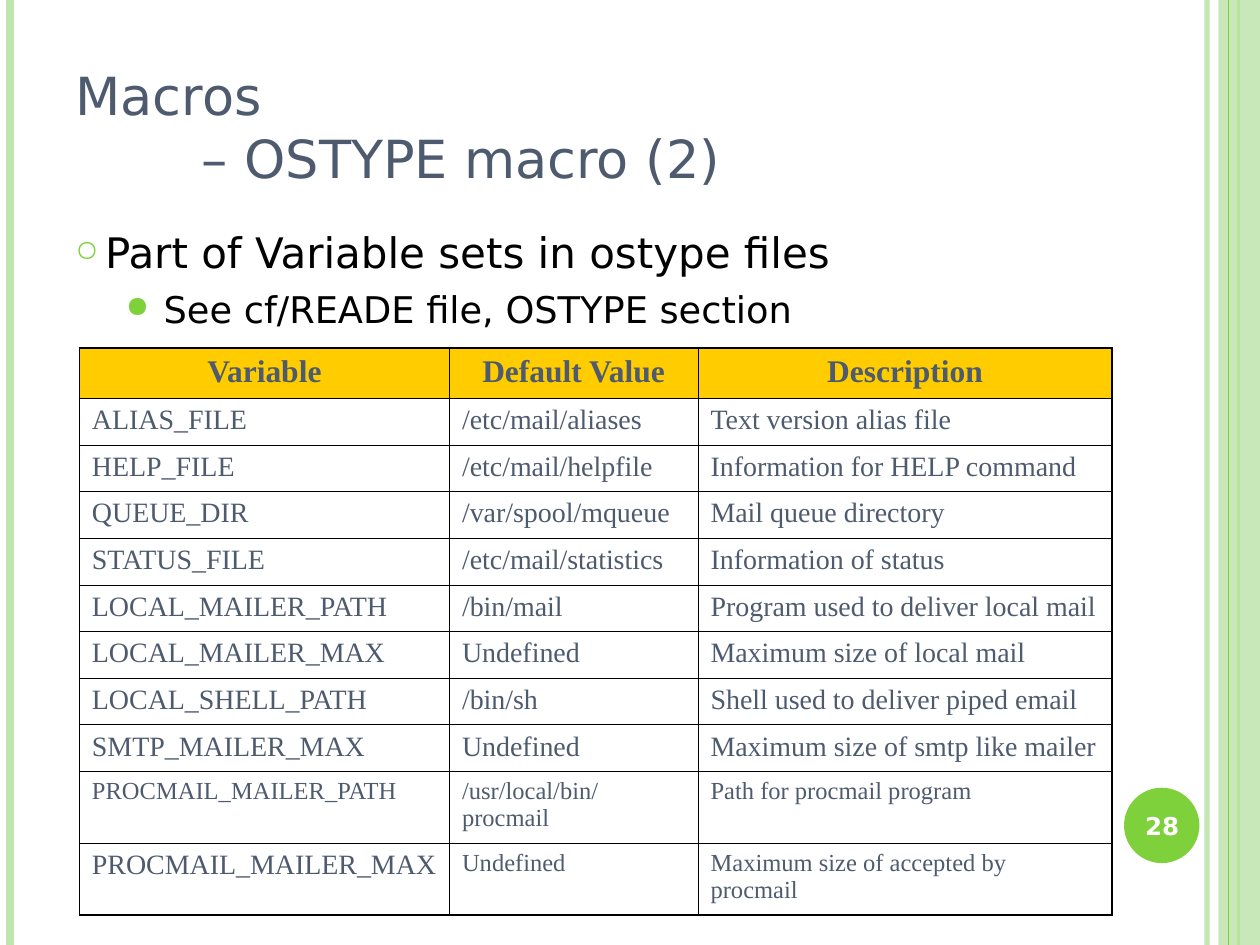
from dataclasses import dataclass
from typing import Any, Optional

from pptx import Presentation
from pptx.dml.color import RGBColor
from pptx.enum.shapes import MSO_CONNECTOR, MSO_SHAPE
from pptx.enum.text import MSO_ANCHOR, MSO_AUTO_SIZE, PP_ALIGN
from pptx.oxml.ns import qn
from pptx.util import Cm, Pt
from lxml.etree import SubElement


@dataclass(frozen=True)
class Theme:
    green: str = "7FD13B"
    pale_green: str = "C0E5AF"
    slate: str = "4E5B6F"
    amber: str = "FFCC00"
    black: str = "000000"
    white: str = "FFFFFF"
    sans: str = "DejaVu Sans"
    serif: str = "Times New Roman"
    title: float = 30
    header: float = 18
    cell: float = 16
    small_cell: float = 14
    number: float = 14
    thin: float = 0.45
    thick: float = 1.08


@dataclass(frozen=True)
class Rule:
    """A full-height vertical line; opacity is in percent."""
    x: float
    width: float
    color: str
    opacity: int = 100


@dataclass(frozen=True)
class Bullet:
    text: str
    size: float
    char: str
    char_size: int
    margin: float
    hanging: float
    before: float = 0


@dataclass(frozen=True)
class Row:
    texts: tuple[str, str, str]
    height: float = 0.94
    small: tuple[bool, bool, bool] = (False, False, False)


T = Theme()
WIDTH, HEIGHT = 25.4, 19.05
RULES = [
    Rule(24.33, 3, T.pale_green, 93),
    Rule(0.2, 4.5, T.pale_green),
    Rule(24.97, 1.5, T.green),
]
BAND_RULE = Rule(24.77, 0.75, T.green)
BULLETS = [
    Bullet("Part of Variable sets in ostype files", 24, "○", 70, 0.6, 0.6),
    Bullet("See cf/READE file, OSTYPE section", 21, "●", 80, 1.78, 0.76, 5.2),
]
COLUMNS = (7.46, 5.01, 8.35)
ROWS = [
    Row(("Variable", "Default Value", "Description"), 1.02),
    Row(("ALIAS_FILE", "/etc/mail/aliases", "Text version alias file")),
    Row(("HELP_FILE", "/etc/mail/helpfile", "Information for HELP command")),
    Row(("QUEUE_DIR", "/var/spool/mqueue", "Mail queue directory")),
    Row(("STATUS_FILE", "/etc/mail/statistics", "Information of status")),
    Row(("LOCAL_MAILER_PATH", "/bin/mail", "Program used to deliver local mail")),
    Row(("LOCAL_MAILER_MAX", "Undefined", "Maximum size of local mail")),
    Row(("LOCAL_SHELL_PATH", "/bin/sh", "Shell used to deliver piped email")),
    Row(("SMTP_MAILER_MAX", "Undefined", "Maximum size of smtp like mailer")),
    Row(("PROCMAIL_MAILER_PATH", "/usr/local/bin/procmail",
         "Path for procmail program"), 1.45, (True, True, True)),
    Row(("PROCMAIL_MAILER_MAX", "Undefined",
         "Maximum size of accepted by procmail"), 1.45, (False, True, True)),
]


def apply(obj: Any, **values: Any) -> None:
    for name, value in values.items():
        setattr(obj, name, value)


def set_font(p: Any, size: float, color: str, name: str, bold: bool = False) -> None:
    for r in p.runs:
        apply(r.font, size=Pt(size), name=name, bold=bold)
        r.font.color.rgb = RGBColor.from_string(color)


def set_opacity(parent: Any, percent: int) -> None:
    color = next(parent.iter(qn("a:srgbClr")))
    SubElement(color, qn("a:alpha"), val=str(percent * 1000))


def draw_rule(slide: Any, rule: Rule) -> None:
    line = slide.shapes.add_connector(
        MSO_CONNECTOR.STRAIGHT, Cm(rule.x), Cm(0), Cm(rule.x), Cm(HEIGHT))
    line.line.width = Pt(rule.width)
    line.line.color.rgb = RGBColor.from_string(rule.color)
    if rule.opacity < 100:
        set_opacity(line.line._ln, rule.opacity)
    SubElement(line._element.spPr, qn("a:effectLst"))


def draw_shape(slide: Any, kind: MSO_SHAPE, box: tuple[float, ...], color: str,
               opacity: int = 100) -> None:
    sp = slide.shapes.add_shape(kind, *map(Cm, box))
    sp.shadow.inherit = False
    sp.fill.solid()
    sp.fill.fore_color.rgb = RGBColor.from_string(color)
    sp.line.fill.background()
    if opacity < 100:
        set_opacity(sp._element.spPr, opacity)


def draw_title(slide: Any) -> None:
    title = slide.shapes.title
    apply(title, left=Cm(1.27), top=Cm(0.76), width=Cm(20.75), height=Cm(3.18))
    tf = title.text_frame
    apply(tf, text="Macros\v\t– OSTYPE macro (2)", word_wrap=True,
          vertical_anchor=MSO_ANCHOR.BOTTOM, auto_size=MSO_AUTO_SIZE.NONE)
    p = tf.paragraphs[0]
    p.alignment = PP_ALIGN.LEFT
    tabs = SubElement(p._p.get_or_add_pPr(), qn("a:tabLst"))
    SubElement(tabs, qn("a:tab"), pos=str(Cm(2.54)), algn="l")
    set_font(p, T.title, T.slate, T.sans)


def draw_bullets(slide: Any, bullets: list[Bullet]) -> None:
    box = slide.shapes.add_textbox(Cm(1.27), Cm(4.45), Cm(20.75), Cm(13.54))
    tf = box.text_frame
    tf.word_wrap = True
    for level, b in enumerate(bullets):
        p = tf.add_paragraph() if level else tf.paragraphs[0]
        apply(p, text=b.text, level=level, space_before=Pt(b.before))
        pPr = p._p.get_or_add_pPr()
        pPr.set("marL", str(Cm(b.margin)))
        pPr.set("indent", str(-Cm(b.hanging)))
        SubElement(SubElement(pPr, qn("a:buClr")), qn("a:srgbClr"), val=T.green)
        SubElement(pPr, qn("a:buSzPct"), val=str(b.char_size * 1000))
        SubElement(pPr, qn("a:buChar"), char=b.char)
        set_font(p, b.size, T.black, T.sans)


def draw_number(slide: Any) -> None:
    draw_shape(slide, MSO_SHAPE.OVAL, (22.66, 15.88, 1.52, 1.52), T.green)
    tf = slide.shapes.add_textbox(Cm(22.58), Cm(15.93), Cm(1.7), Cm(1.45)).text_frame
    apply(tf, text="28", word_wrap=True, vertical_anchor=MSO_ANCHOR.MIDDLE)
    p = tf.paragraphs[0]
    p.alignment = PP_ALIGN.CENTER
    set_font(p, T.number, T.white, T.sans, bold=True)


def set_cell(cell: Any, fill: Optional[str], outer: dict[str, bool]) -> None:
    """Draw borders, thick where a side lies on the table's edge, then fill."""
    tcPr = cell._tc.get_or_add_tcPr()
    for side, is_outer in outer.items():
        width = Pt(T.thick if is_outer else T.thin)
        ln = SubElement(tcPr, qn(f"a:{side}"), w=str(width))
        SubElement(SubElement(ln, qn("a:solidFill")), qn("a:srgbClr"), val=T.black)
    if fill:
        cell.fill.solid()
        cell.fill.fore_color.rgb = RGBColor.from_string(fill)
    else:
        cell.fill.background()


def draw_table(slide: Any, rows: list[Row]) -> None:
    table = slide.shapes.add_table(
        len(rows), len(COLUMNS), Cm(1.6), Cm(7.01), Cm(sum(COLUMNS)),
        Cm(sum(row.height for row in rows))).table
    apply(table, horz_banding=False)
    for column, width in zip(table.columns, COLUMNS):
        column.width = Cm(width)
    for i, row in enumerate(rows):
        table.rows[i].height = Cm(row.height)
        header = i == 0
        for j, (text, small) in enumerate(zip(row.texts, row.small)):
            cell = table.cell(i, j)
            cell.text = text
            p = cell.text_frame.paragraphs[0]
            p.alignment = PP_ALIGN.CENTER if header else PP_ALIGN.LEFT
            size = T.header if header else T.small_cell if small else T.cell
            set_font(p, size, T.slate, T.serif, bold=header)
            set_cell(cell, T.amber if header else None, {
                "lnL": j == 0, "lnR": j == len(COLUMNS) - 1,
                "lnT": header, "lnB": i == len(rows) - 1})


def main() -> None:
    prs = Presentation()
    apply(prs, slide_width=Cm(WIDTH), slide_height=Cm(HEIGHT))
    slide = prs.slides.add_slide(prs.slide_layouts[5])
    for rule in RULES:
        draw_rule(slide, rule)
    draw_shape(slide, MSO_SHAPE.RECTANGLE, (24.56, 0, 0.84, HEIGHT), T.pale_green, 87)
    draw_rule(slide, BAND_RULE)
    draw_title(slide)
    draw_bullets(slide, BULLETS)
    draw_number(slide)
    draw_table(slide, ROWS)
    prs.save("out.pptx")


if __name__ == "__main__":
    main()
